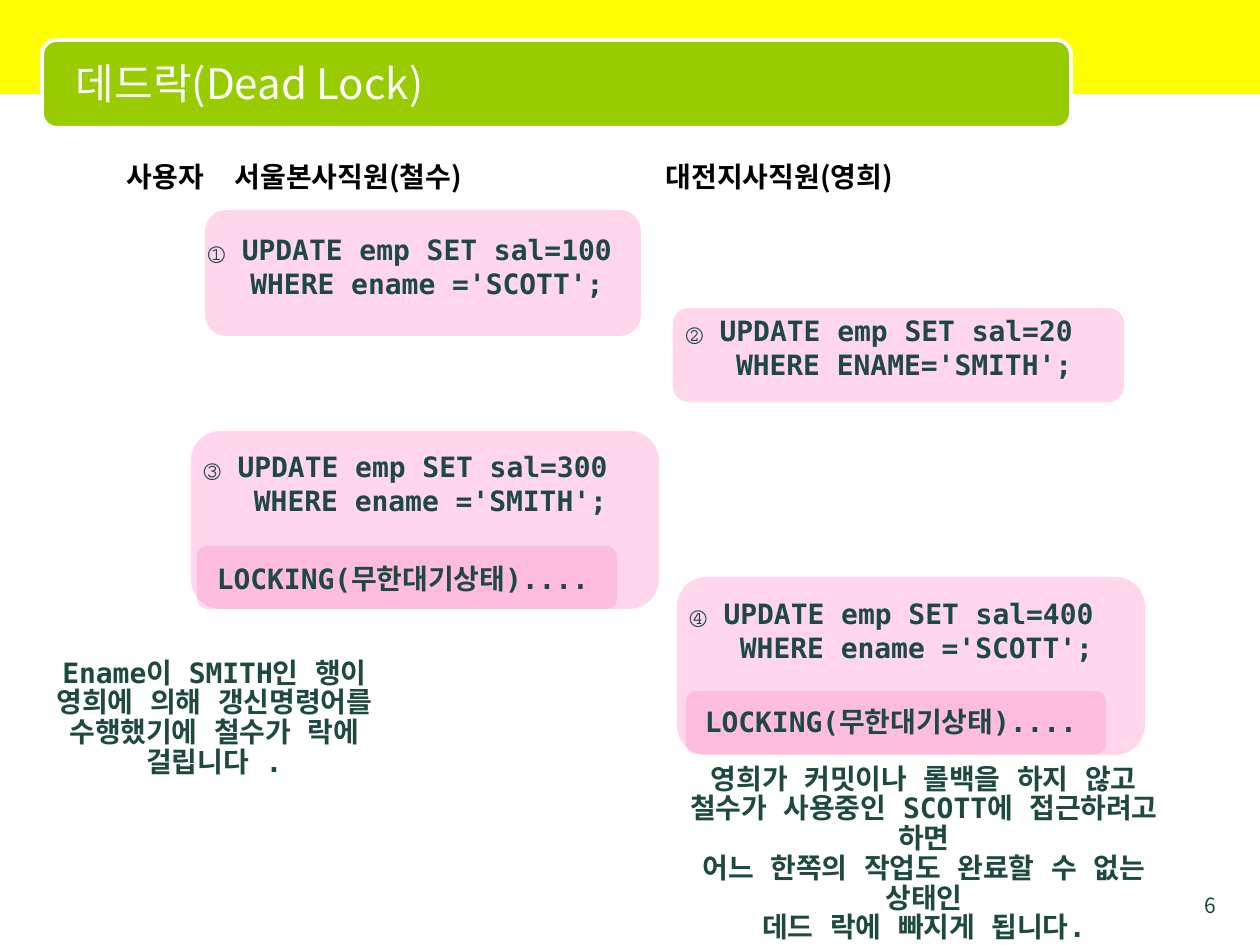
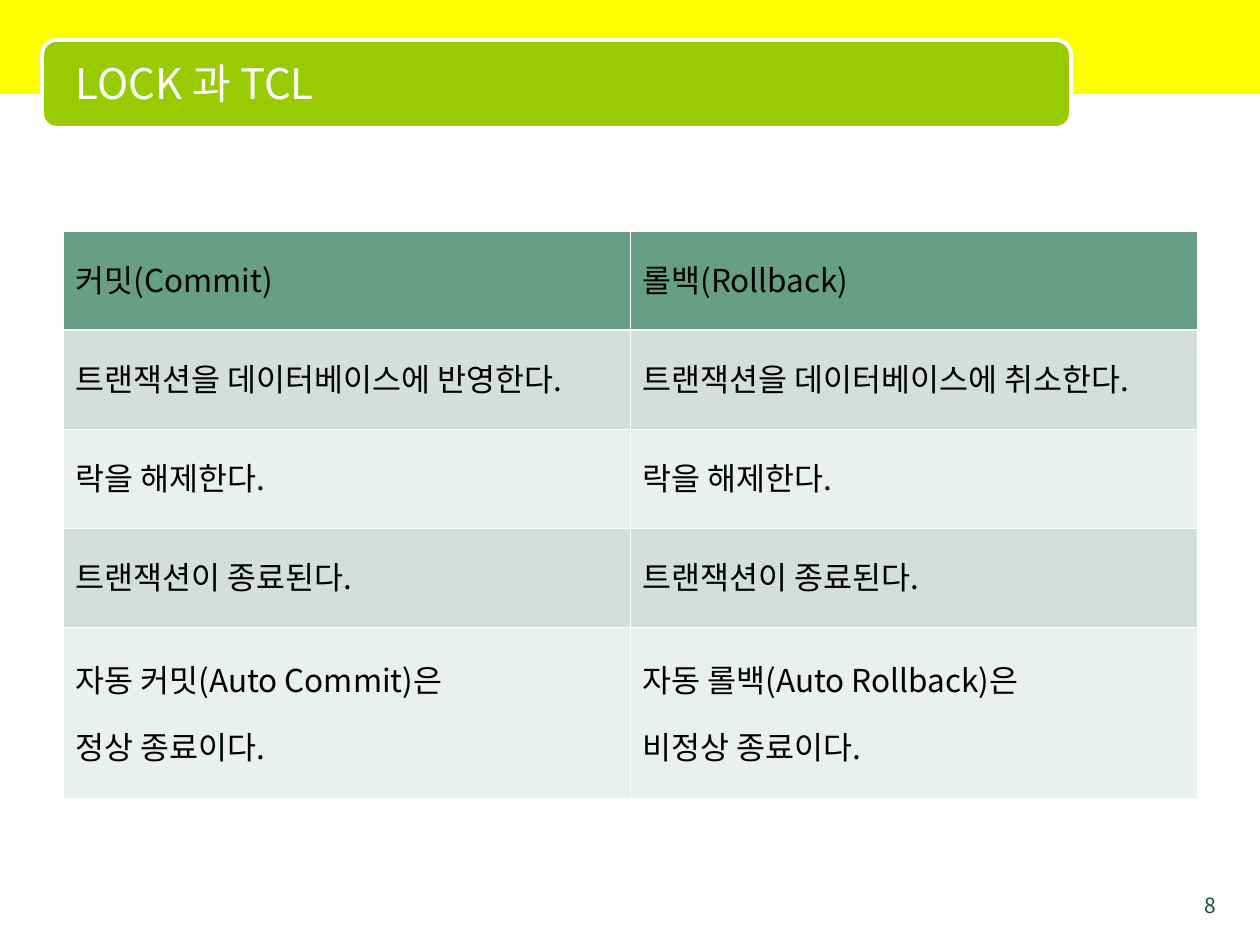
"""Build two slides about database dead locks and transaction control."""
from lxml import etree
from pptx import Presentation
from pptx.dml.color import RGBColor
from pptx.enum.shapes import MSO_SHAPE
from pptx.enum.text import MSO_ANCHOR, PP_ALIGN
from pptx.oxml.ns import qn
from pptx.util import Emu, Pt

EMU_PER_PX = 914400 / 126
SLIDE_WIDTH, SLIDE_HEIGHT = 1260, 945
RECTANGLE, ROUNDED = MSO_SHAPE.RECTANGLE, MSO_SHAPE.ROUNDED_RECTANGLE
LEFT, CENTER, RIGHT = PP_ALIGN.LEFT, PP_ALIGN.CENTER, PP_ALIGN.RIGHT
TOP, MIDDLE = MSO_ANCHOR.TOP, MSO_ANCHOR.MIDDLE
SANS, MONO = "Noto Sans CJK KR", "DejaVu Sans Mono"
BLANK_LAYOUT = 6
COLORS = {
    "band": "FFFF00", "title_bar": "99CC00", "white": "FFFFFF", "black": "000000",
    "ink": "1D4940", "pink": "FF99CC", "table_head": "669E86",
    "row_dark": "D3DFD9", "row_light": "EAF0ED",
}
CODE = {"font": MONO, "bold": True}
NOTE = {**CODE, "align": CENTER, "line_spacing": 17}
MARGIN_X, MARGIN_Y = 13, 6
LOCK_TEXT = "LOCKING(무한대기상태)...."

STATEMENTS = [
    {"panel": (205, 210, 436, 126), "text_box": (179, 227, 462, 81), "align": CENTER,
     "indent": 34, "lines": ["① UPDATE emp SET sal=100", "WHERE ename ='SCOTT';"]},
    {"panel": (191, 431, 468, 178), "text_box": (191, 444, 468, 81),
     "lines": ["③ UPDATE emp SET sal=300", "WHERE ename ='SMITH';"]},
    {"panel": (673, 308, 451, 94), "text_box": (673, 308, 525, 81),
     "lines": ["② UPDATE emp SET sal=20", "WHERE ENAME='SMITH';"]},
    {"panel": (677, 577, 468, 178), "text_box": (677, 591, 468, 81),
     "lines": ["④ UPDATE emp SET sal=400", "WHERE ename ='SCOTT';"]},
]
LOCKS = [
    {"panel": (197, 546, 420, 63), "text_box": (189, 556, 428, 47)},
    {"panel": (686, 691, 420, 63), "text_box": (677, 699, 428, 47)},
]
TABLE_ROWS = [
    ("커밋(Commit)", "롤백(Rollback)"),
    ("트랜잭션을 데이터베이스에 반영한다.", "트랜잭션을 데이터베이스에 취소한다."),
    ("락을 해제한다.", "락을 해제한다."),
    ("트랜잭션이 종료된다.", "트랜잭션이 종료된다."),
    ("자동 커밋(Auto Commit)은\n정상 종료이다.", "자동 롤백(Auto Rollback)은\n비정상 종료이다."),
]
ROW_HEIGHTS = [99, 99, 99, 99, 171]


def px(length):
    """Turn pixels into EMU."""
    return Emu(round(length * EMU_PER_PX))


def rgb(name):
    """Look up a named colour."""
    return RGBColor.from_string(COLORS[name])


def write_text(text_frame, text, font=SANS, size=16, color="ink", bold=False, align=LEFT,
               anchor=TOP, line_spacing=None, space_after=0, hanging_lines=0, tabs=()):
    """Fill a text frame with one formatted paragraph per line of text."""
    text_frame.word_wrap = True
    text_frame.vertical_anchor = anchor
    for index, line in enumerate(text.split("\n")):
        paragraph = text_frame.add_paragraph() if index else text_frame.paragraphs[0]
        paragraph.alignment = align
        paragraph.space_after = Pt(space_after)
        if line_spacing:
            paragraph.line_spacing = Pt(line_spacing)
        properties = paragraph._p.get_or_add_pPr()
        if index and hanging_lines:
            properties.set("marL", str(px(hanging_lines)))
        if tabs:
            tab_list = etree.SubElement(properties, qn("a:tabLst"))
            for position in tabs:
                etree.SubElement(tab_list, qn("a:tab"), pos=str(px(position)), algn="l")
        run = paragraph.add_run()
        run.text = line
        run.font.name, run.font.size, run.font.bold = font, Pt(size), bold
        run.font.color.rgb = rgb(color)
        etree.SubElement(run._r.get_or_add_rPr(), qn("a:ea"), typeface=font)


def add_text(slide, box, text, **text_format):
    """Add a text box at a pixel box."""
    text_frame = slide.shapes.add_textbox(*map(px, box)).text_frame
    text_frame.margin_left = text_frame.margin_right = px(MARGIN_X)
    text_frame.margin_top = text_frame.margin_bottom = px(MARGIN_Y)
    write_text(text_frame, text, **text_format)


def add_panel(slide, kind, box, color, outline=None, opacity=None):
    """Add a filled shape, optionally outlined or translucent."""
    shape = slide.shapes.add_shape(kind, *map(px, box))
    shape.shadow.inherit = False
    shape.fill.solid()
    shape.fill.fore_color.rgb = rgb(color)
    if opacity:
        fill_color = shape.element.spPr.find(qn("a:solidFill")).find(qn("a:srgbClr"))
        etree.SubElement(fill_color, qn("a:alpha"), val=str(opacity * 1000))
    if outline:
        shape.line.color.rgb = rgb(outline)
        shape.line.width = Pt(2.25)
    else:
        shape.line.fill.background()


def add_framed_slide(presentation, title, number):
    """Add a slide with the shared band, title bar and page number."""
    slide = presentation.slides.add_slide(presentation.slide_layouts[BLANK_LAYOUT])
    add_panel(slide, RECTANGLE, (0, 0, SLIDE_WIDTH, 94), "band")
    add_panel(slide, ROUNDED, (42, 40, 1029, 88), "title_bar", outline="white")
    add_text(slide, (1166, 887, 63, 26), str(number), size=12, align=RIGHT)
    add_text(slide, (63, 44, 998, 78), title, size=24, color="white", anchor=MIDDLE)
    return slide


def add_code_panel(slide, panel, text_box, lines, align=LEFT, indent=50):
    """Add a translucent pink panel with code on it."""
    add_panel(slide, ROUNDED, panel, "pink", opacity=40)
    add_text(slide, text_box, "\n".join(lines), align=align, hanging_lines=indent, **CODE)


def set_borders(cell, widths):
    """Give a cell white borders, with widths in points by side."""
    properties = cell._tc.get_or_add_tcPr()
    for index, side in enumerate(("L", "R", "T", "B")):
        line = etree.Element(qn(f"a:ln{side}"), w=str(Pt(widths[side])))
        fill = etree.SubElement(line, qn("a:solidFill"))
        etree.SubElement(fill, qn("a:srgbClr"), val=COLORS["white"])
        properties.insert(index, line)


def add_comparison_table(slide):
    """Add the commit and rollback table."""
    table = slide.shapes.add_table(len(TABLE_ROWS), 2, px(63), px(231),
                                   px(1134), px(sum(ROW_HEIGHTS))).table
    last = len(TABLE_ROWS) - 1
    for row, (texts, height) in enumerate(zip(TABLE_ROWS, ROW_HEIGHTS)):
        table.rows[row].height = px(height)
        color = "table_head" if row == 0 else ("row_light", "row_dark")[row % 2]
        spacing = {"line_spacing": 26, "space_after": 12} if row == last else {"line_spacing": 24}
        borders = {"L": 0.45, "R": 0.45, "T": 1.47 if row == 1 else 0.45,
                   "B": 1.47 if row == 0 else 0.45}
        for column, text in enumerate(texts):
            cell = table.cell(row, column)
            cell.fill.solid()
            cell.fill.fore_color.rgb = rgb(color)
            cell.vertical_anchor = MIDDLE
            write_text(cell.text_frame, text, size=18, color="black", anchor=MIDDLE, **spacing)
            set_borders(cell, borders)


def build_dead_lock_slide(presentation):
    """Show how two sessions block each other."""
    slide = add_framed_slide(presentation, "데드락(Dead Lock)", 6)
    add_text(slide, (84, 154, 1113, 766), "\t사용자\t서울본사직원(철수)\t대전지사직원(영희)",
             color="black", bold=True, tabs=(30, 138, 569))
    for statement in STATEMENTS:
        add_code_panel(slide, **statement)
    for lock in LOCKS:
        add_code_panel(slide, lines=[LOCK_TEXT], align=CENTER, **lock)
    add_text(slide, (20, 653, 389, 132),
             "Ename이 SMITH인 행이 영희에 의해 갱신명령어를 수행했기에 철수가 락에 걸립니다 .", **NOTE)
    add_text(slide, (677, 759, 494, 191),
             "영희가 커밋이나 롤백을 하지 않고 철수가 사용중인 SCOTT에 접근하려고 하면\n"
             "어느 한쪽의 작업도 완료할 수 없는 상태인\n데드 락에 빠지게 됩니다.", **NOTE)


def main():
    """Build and save the presentation."""
    presentation = Presentation()
    presentation.slide_width, presentation.slide_height = px(SLIDE_WIDTH), px(SLIDE_HEIGHT)
    build_dead_lock_slide(presentation)
    add_comparison_table(add_framed_slide(presentation, "LOCK 과 TCL", 8))
    presentation.save("out.pptx")


if __name__ == "__main__":
    main()
